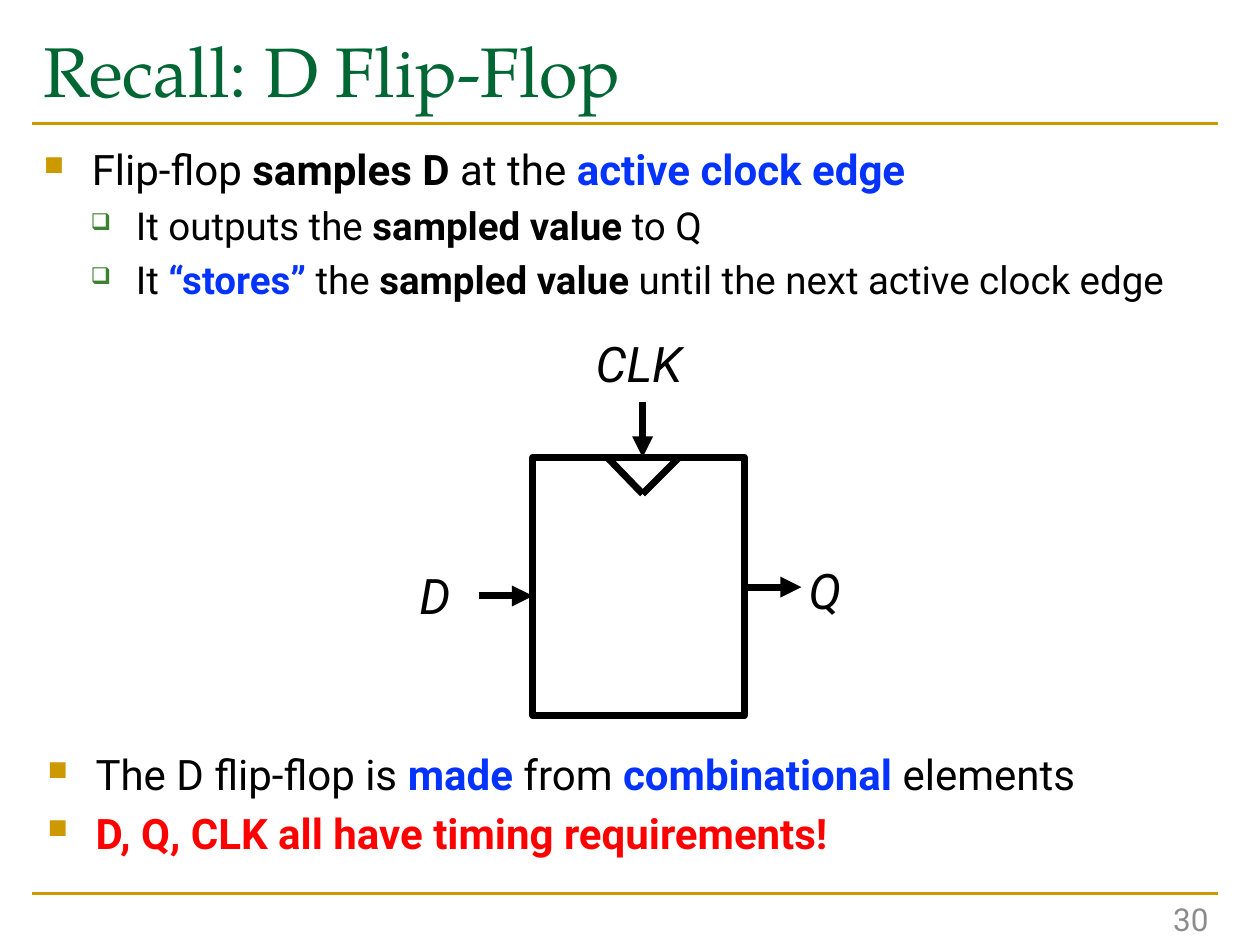
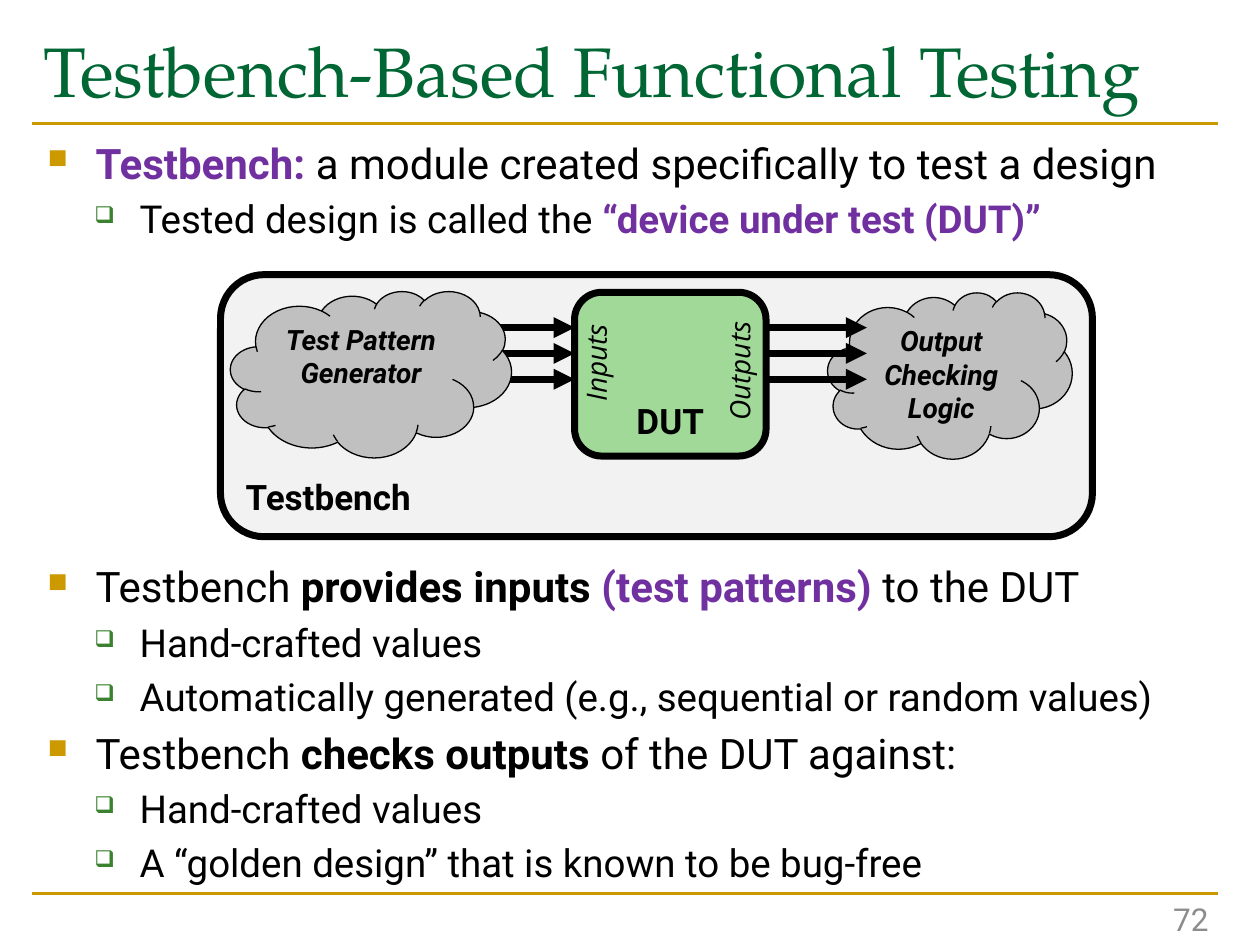
from dataclasses import dataclass

from lxml import etree
from pptx import Presentation
from pptx.dml.color import RGBColor
from pptx.enum.shapes import MSO_CONNECTOR, MSO_SHAPE
from pptx.enum.text import MSO_ANCHOR, PP_ALIGN
from pptx.oxml.ns import qn
from pptx.util import Inches, Pt

STRAIGHT = MSO_CONNECTOR.STRAIGHT
RECTANGLE, ROUNDED, CLOUD = MSO_SHAPE.RECTANGLE, MSO_SHAPE.ROUNDED_RECTANGLE, MSO_SHAPE.CLOUD
TOP, MIDDLE, BOTTOM = MSO_ANCHOR.TOP, MSO_ANCHOR.MIDDLE, MSO_ANCHOR.BOTTOM
LEFT, CENTER, RIGHT = PP_ALIGN.LEFT, PP_ALIGN.CENTER, PP_ALIGN.RIGHT


@dataclass(frozen=True)
class Theme:
    """Colours, fonts and type sizes of both slides."""
    ink: str = "000000"
    paper: str = "FFFFFF"
    gold: str = "CC9900"
    title_green: str = "006633"
    bullet_green: str = "3B812F"
    blue: str = "0432FF"
    purple: str = "7030A0"
    red: str = "FF0000"
    page_gray: str = "8C8C8C"
    bench_gray: str = "F2F2F2"
    cloud_gray: str = "C0C0C0"
    dut_green: str = "A1DA98"
    title_font: str = "TeX Gyre Pagella"
    body_font: str = "Roboto"
    port_font: str = "Open Sans"
    title_size: int = 40
    body_sizes: tuple = (24, 22)
    pin_size: int = 28
    block_size: int = 20
    page_size: int = 18
    small_size: int = 16
    rule_width: float = 1.5
    thick: float = 4
    thin: float = 0.75


THEME = Theme()

# Bullet per level: character, colour, size in percent, left margin, hanging indent
BULLETS = [("■", THEME.gold, 65, 0.38, 0.38), ("❑", THEME.bullet_green, 60, 0.73, 0.36)]

# Emphasis: colour, bold
EMPHASIS = {
    "plain": (THEME.ink, False),
    "bold": (THEME.ink, True),
    "blue": (THEME.blue, True),
    "purple": (THEME.purple, True),
    "red": (THEME.red, True),
}

# Each outline: box, then items of (level, [(words, emphasis), ...])
FLIP_FLOP = {
    "title": "Recall: D Flip-Flop",
    "page": "30",
    "outlines": [
        ((0.25, 1.09, 10.08, 1.35), [
            (0, [("Flip-flop ", "plain"), ("samples D", "bold"), (" at the ", "plain"),
                 ("active clock edge ", "blue")]),
            (1, [("It outputs the", "plain"), (" sampled value ", "bold"), ("to Q", "plain")]),
            (1, [("It ", "plain"), ("“stores” ", "blue"), ("the ", "plain"),
                 ("sampled value ", "bold"), ("until the next active clock edge", "plain")]),
        ]),
        ((0.28, 5.89, 9.42, 1.18), [
            (0, [("The D flip-flop is ", "plain"), ("made ", "blue"), ("from ", "plain"),
                 ("combinational", "blue"), (" elements", "plain")]),
            (0, [("D, Q, CLK all have timing requirements!", "red")]),
        ]),
    ],
}
TESTBENCH = {
    "title": "Testbench-Based Functional Testing",
    "page": "72",
    "outlines": [
        ((0.28, 1.04, 9.42, 1.16), [
            (0, [("Testbench: ", "purple"),
                 ("a module created specifically to test a design", "plain")]),
            (1, [("Tested design is called the ", "plain"),
                 ("“device under test (DUT)”", "purple")]),
        ]),
        ((0.28, 4.4, 9.42, 2.65), [
            (0, [("Testbench ", "plain"), ("provides inputs ", "bold"),
                 ("(test patterns) ", "purple"), ("to the DUT", "plain")]),
            (1, [("Hand-crafted values", "plain")]),
            (1, [("Automatically generated (e.g., sequential or random values)", "plain")]),
            (0, [("Testbench ", "plain"), ("checks outputs ", "bold"),
                 ("of the DUT against:", "plain")]),
            (1, [("Hand-crafted values", "plain")]),
            (1, [("A “golden design” that is known to be bug-free", "plain")]),
        ]),
    ],
}

RULES_Y = (7.09, 0.98)
RULE_X = (0.25, 9.67)

REGISTER = (4.23, 3.63, 1.68, 2.05)
NOTCH = [(4.82, 3.63), (5.1, 3.92), (5.39, 3.63)]
PIN_ARROWS = [((5.1, 3.19), (5.1, 3.63)), ((5.92, 4.66), (6.36, 4.66)), ((3.8, 4.73), (4.23, 4.73))]
PIN_LABELS = [("D", (3.23, 4.44, 0.37, 0.5)), ("Q", (6.32, 4.4, 0.37, 0.5)),
              ("CLK", (4.63, 2.6, 0.9, 0.5))]

BENCH = (1.75, 2.18, 6.92, 2.08)
DUT = (4.56, 2.32, 1.52, 1.3)
GENERATOR = (1.83, 2.31, 2.23, 1.32)
CHECKER = (6.57, 2.32, 1.94, 1.32)
PORT_LABELS = [("Inputs", (4.22, 2.59, 1.02, 0.37)), ("Outputs", (5.28, 2.66, 1.18, 0.37))]
BUS_TOP, BUS_PITCH, BUS_LINES, BUS_LENGTH = 2.6, 0.205, 3, 0.8


def rgb(code):
    """Turn a hex code into a colour."""
    return RGBColor.from_string(code)


def inches(values):
    """Turn a row of numbers into lengths."""
    return [Inches(value) for value in values]


def style(run, size, color=THEME.ink, font=THEME.body_font, bold=False, italic=False):
    """Format one run."""
    run.font.size, run.font.name = Pt(size), font
    run.font.bold, run.font.italic = bold, italic
    run.font.color.rgb = rgb(color)


def write(frame, words, size, align=LEFT, anchor=TOP, **look):
    """Fill a text frame with uniformly formatted words, one paragraph a line."""
    frame.text = words
    frame.word_wrap = True
    frame.vertical_anchor = anchor
    for paragraph in frame.paragraphs:
        paragraph.alignment = align
        for run in paragraph.runs:
            style(run, size, **look)


def add_label(slide, box, words, size, rotation=0, **look):
    """Add a text box, turned if asked."""
    label = slide.shapes.add_textbox(*inches(box))
    label.rotation = rotation
    write(label.text_frame, words, size, **look)
    return label


def add_line(slide, start, end, color=THEME.ink, width=THEME.thick, arrow=False):
    """Draw a straight line, with an arrowhead at its end if asked."""
    line = slide.shapes.add_connector(STRAIGHT, *inches(start + end))
    line.line.color.rgb = rgb(color)
    line.line.width = Pt(width)
    properties = line.element.spPr
    if arrow:
        etree.SubElement(properties.get_or_add_ln(), qn("a:tailEnd"), type="triangle")
    etree.SubElement(properties, qn("a:effectLst"))


def add_block(slide, preset, box, fill, width=THEME.thick):
    """Add an outlined, filled shape."""
    block = slide.shapes.add_shape(preset, *inches(box))
    block.shadow.inherit = False
    block.fill.solid()
    block.fill.fore_color.rgb = rgb(fill)
    block.line.color.rgb = rgb(THEME.ink)
    block.line.width = Pt(width)
    return block


def set_bullet(paragraph, level):
    """Give a paragraph the spacing, indent and bullet of its level."""
    char, color, percent, margin, hanging = BULLETS[level]
    paragraph.level = level
    properties = paragraph._p.get_or_add_pPr()
    properties.set("marL", str(Inches(margin)))
    properties.set("indent", str(-Inches(hanging)))
    spacing = etree.SubElement(properties, qn("a:spcBef"))
    etree.SubElement(spacing, qn("a:spcPct"), val="20000")
    bullet_color = etree.SubElement(properties, qn("a:buClr"))
    etree.SubElement(bullet_color, qn("a:srgbClr"), val=color)
    etree.SubElement(properties, qn("a:buSzPct"), val=str(percent * 1000))
    etree.SubElement(properties, qn("a:buChar"), char=char)


def add_outline(slide, box, items):
    """Add a bulleted outline with emphasised words."""
    frame = slide.shapes.add_textbox(*inches(box)).text_frame
    frame.word_wrap = True
    for index, (level, pieces) in enumerate(items):
        paragraph = frame.add_paragraph() if index else frame.paragraphs[0]
        set_bullet(paragraph, level)
        for words, emphasis in pieces:
            run = paragraph.add_run()
            run.text = words
            color, bold = EMPHASIS[emphasis]
            style(run, THEME.body_sizes[level], color, bold=bold)


def add_page(deck, content):
    """Add a slide with rules, title, page number and outlines."""
    slide = deck.slides.add_slide(deck.slide_layouts[6])
    for y in RULES_Y:
        add_line(slide, (RULE_X[0], y), (RULE_X[1], y), THEME.gold, THEME.rule_width)
    add_label(slide, (0.25, 0.17, 9.42, 1.17), content["title"], THEME.title_size,
              color=THEME.title_green, font=THEME.title_font)
    add_label(slide, (7.44, 7.09, 2.25, 0.4), content["page"], THEME.page_size,
              align=RIGHT, anchor=MIDDLE, color=THEME.page_gray)
    for box, items in content["outlines"]:
        add_outline(slide, box, items)
    return slide


def draw_flip_flop(slide):
    """Draw the register with its clock notch and pins."""
    add_block(slide, RECTANGLE, REGISTER, THEME.paper)
    for start, end in zip(NOTCH, NOTCH[1:]):
        add_line(slide, start, end)
    for start, end in PIN_ARROWS:
        add_line(slide, start, end, arrow=True)
    for pin, box in PIN_LABELS:
        label = add_label(slide, box, pin, THEME.pin_size, italic=True)
        label.text_frame.word_wrap = False


def add_bus(slide, left):
    """Draw the parallel arrows that start at one x position."""
    for index in range(BUS_LINES):
        y = BUS_TOP + index * BUS_PITCH
        add_line(slide, (left, y), (left + BUS_LENGTH, y), arrow=True)


def add_cloud(slide, box, words):
    """Add a captioned cloud of logic."""
    cloud = add_block(slide, CLOUD, box, THEME.cloud_gray, THEME.thin)
    write(cloud.text_frame, words, THEME.small_size, CENTER, bold=True, italic=True)


def draw_testbench(slide):
    """Draw the testbench around the device under test."""
    bench = add_block(slide, ROUNDED, BENCH, THEME.bench_gray)
    write(bench.text_frame, "Testbench", THEME.block_size, anchor=BOTTOM, bold=True)
    dut = add_block(slide, ROUNDED, DUT, THEME.dut_green)
    write(dut.text_frame, "DUT", THEME.block_size, CENTER, BOTTOM, bold=True)
    for port, box in PORT_LABELS:
        add_label(slide, box, port, THEME.small_size, rotation=270,
                  font=THEME.port_font, italic=True)
    add_bus(slide, DUT[0] - BUS_LENGTH)
    add_cloud(slide, GENERATOR, "Test Pattern Generator")
    add_cloud(slide, CHECKER, "Output\nChecking\nLogic")
    add_bus(slide, DUT[0] + DUT[2])


def main():
    """Build and save the deck."""
    deck = Presentation()
    deck.slide_width, deck.slide_height = Inches(10), Inches(7.5)
    draw_flip_flop(add_page(deck, FLIP_FLOP))
    draw_testbench(add_page(deck, TESTBENCH))
    deck.save("out.pptx")


main()
